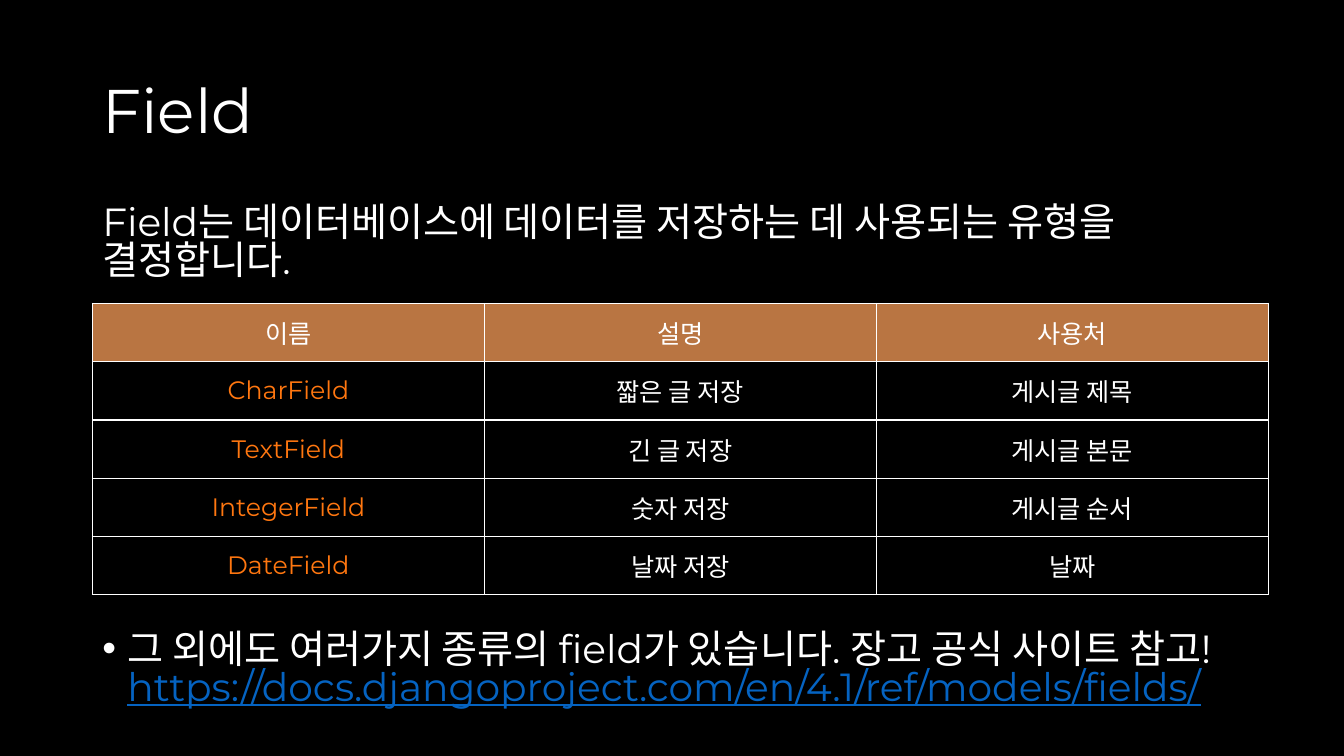
from dataclasses import dataclass

from lxml import etree
from pptx import Presentation, util as u
from pptx.dml.color import RGBColor
from pptx.enum import text
from pptx.oxml import ns

Pt = u.Pt


@dataclass(frozen=True)
class Theme:
    font: str = "Montserrat"
    background: str = "000000"
    ink: str = "FFFFFF"
    header: str = "B97542"
    field_name: str = "FF7710"
    link: str = "0563C1"
    title_size: int = 44
    body_size: int = 28
    cell_size: int = 18


theme = Theme()


def add_run(p, wording, size, color=theme.ink):
    r = p.add_run()
    r.text = wording
    r.font.name = theme.font
    r.font.size = Pt(size)
    r.font.color.rgb = RGBColor.from_string(color)
    return r


def add_text_box(s, top, height, line_spacing, anchor=text.MSO_ANCHOR.TOP):
    sp = s.shapes.add_textbox(Pt(66), Pt(top), Pt(828), Pt(height))
    tf = sp.text_frame
    tf.word_wrap = True
    tf.vertical_anchor = anchor
    p = tf.paragraphs[0]
    p.line_spacing = line_spacing
    return p


prs = Presentation()
prs.slide_width = Pt(960)
prs.slide_height = Pt(540)
s = prs.slides.add_slide(prs.slide_layouts[6])
s.background.fill.solid()
s.background.fill.fore_color.rgb = RGBColor.from_string(theme.background)

p = add_text_box(s, 28.8, 104.4, 0.9, text.MSO_ANCHOR.MIDDLE)
add_run(p, "Field", theme.title_size)

p = add_text_box(s, 144, 64, 0.8)
p.space_before = Pt(10)
add_run(p, "Field는 데이터베이스에 데이터를 저장하는 데 사용되는 유형을 결정합니다.", theme.body_size)

p = add_text_box(s, 449, 88, 0.8)
p.space_before = Pt(10)
pPr = p._p.get_or_add_pPr()
pPr.set("marL", str(Pt(18)))
pPr.set("indent", str(-Pt(18)))
etree.SubElement(pPr, ns.qn("a:buFont"), typeface="Arial")
etree.SubElement(pPr, ns.qn("a:buChar"), char="•")
add_run(p, "그 외에도 여러가지 종류의 field가 있습니다. 장고 공식 사이트 참고! ", theme.body_size)
r = add_run(p, "https://docs.djangoproject.com/en/4.1/ref/models/fields/", theme.body_size, theme.link)
r.font.underline = True

rows = [
    ("이름", "설명", "사용처"),
    ("CharField", "짧은 글 저장", "게시글 제목"),
    ("TextField", "긴 글 저장", "게시글 본문"),
    ("IntegerField", "숫자 저장", "게시글 순서"),
    ("DateField", "날짜 저장", "날짜"),
]
table = s.shapes.add_table(len(rows), 3, Pt(66), Pt(216.8), Pt(840), Pt(208)).table
table.first_row = False
table.horz_banding = False

for i, row in enumerate(rows):
    for j, wording in enumerate(row):
        cell = table.cell(i, j)
        cell.vertical_anchor = text.MSO_ANCHOR.MIDDLE
        tcPr = cell._tc.get_or_add_tcPr()
        for side in ("lnL", "lnR", "lnT", "lnB"):
            ln = etree.SubElement(tcPr, ns.qn(f"a:{side}"), w=str(Pt(1)))
            fill = etree.SubElement(ln, ns.qn("a:solidFill"))
            etree.SubElement(fill, ns.qn("a:srgbClr"), val=theme.ink)
        if i == 0:
            cell.fill.solid()
            cell.fill.fore_color.rgb = RGBColor.from_string(theme.header)
        else:
            cell.fill.background()
        p = cell.text_frame.paragraphs[0]
        p.alignment = text.PP_ALIGN.CENTER
        color = theme.field_name if i > 0 and j == 0 else theme.ink
        add_run(p, wording, theme.cell_size, color)

prs.save("out.pptx")
